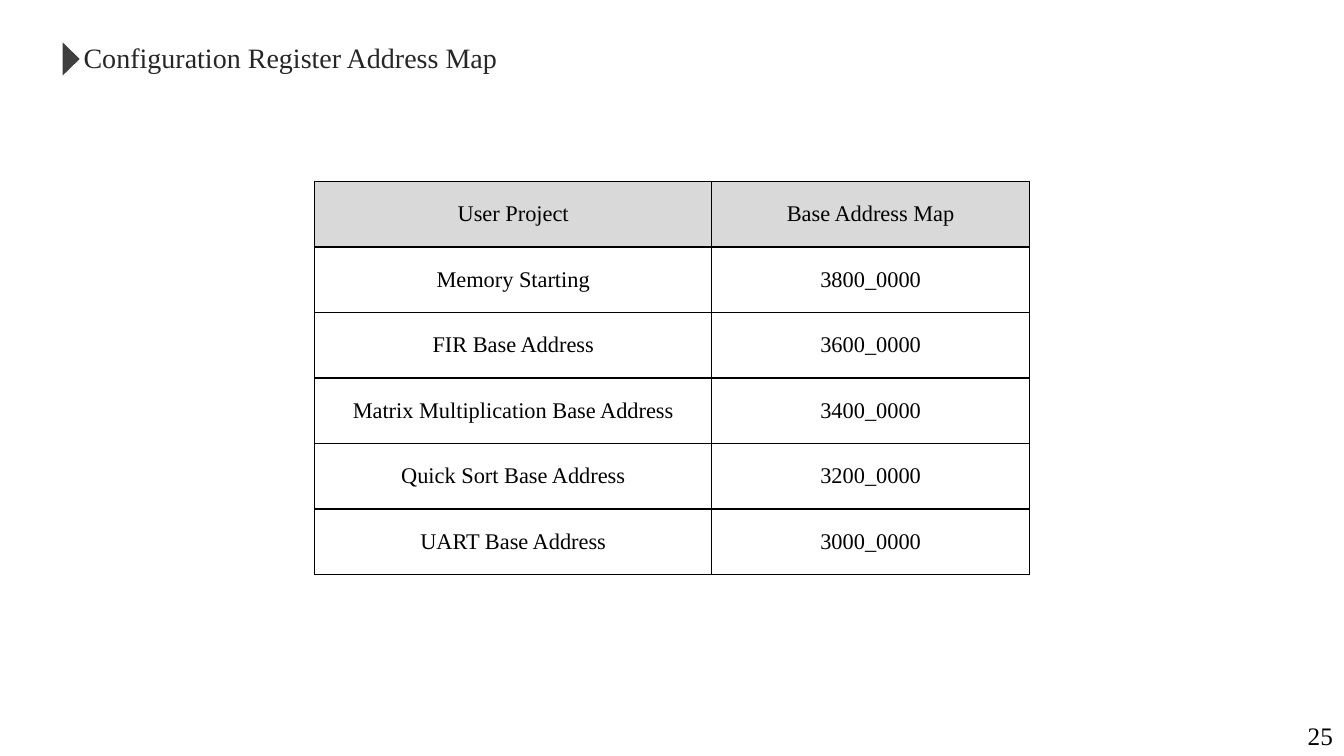
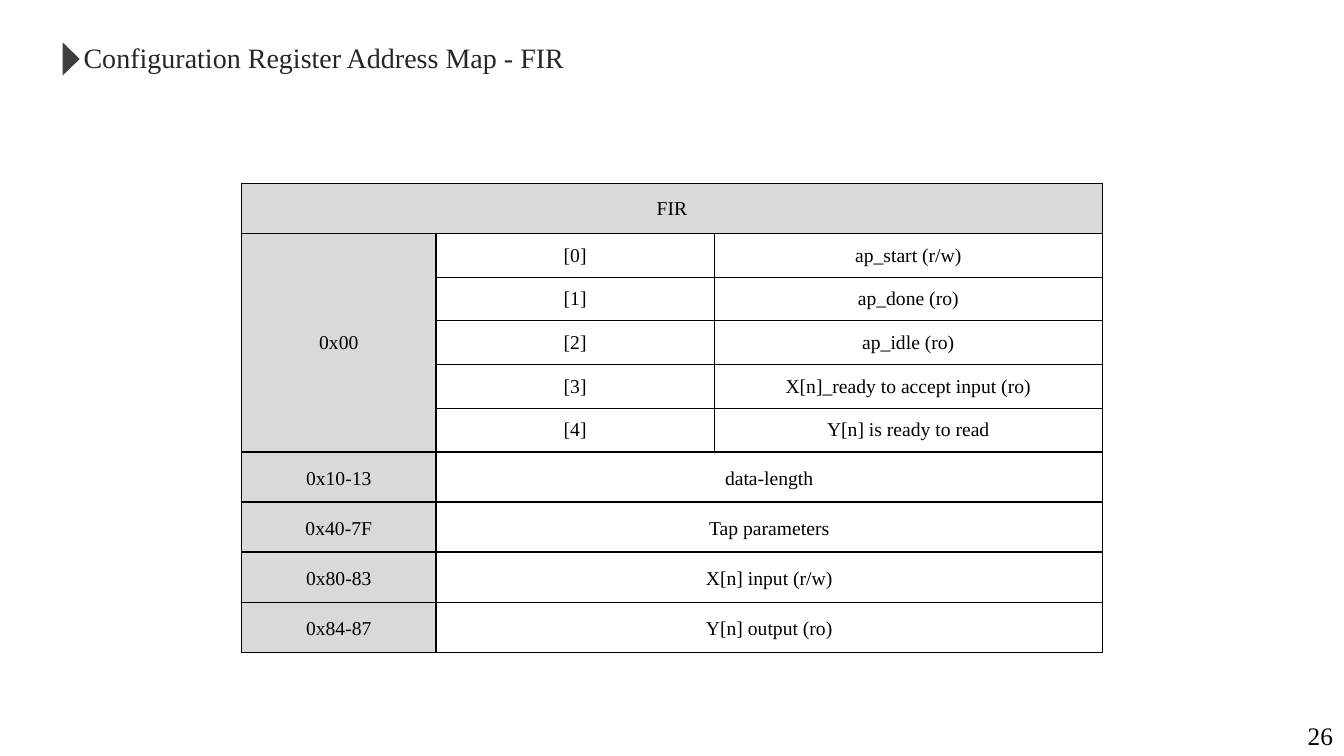
from lxml.etree import SubElement
from pptx import Presentation
from pptx.dml.color import RGBColor
from pptx.enum.shapes import MSO_SHAPE
from pptx.enum.text import MSO_ANCHOR, PP_ALIGN
from pptx.oxml.ns import qn
from pptx.util import Inches, Pt

SLIDE_WIDTH, SLIDE_HEIGHT = Inches(13.33), Inches(7.5)
FONT = "Times New Roman"
WHITE, BLACK, TITLE_INK, MARKER, SHADE = "FFFFFF", "000000", "262626", "3F3F3F", "D9D9D9"

ADDRESS_ROWS = [
    ("User Project", "Base Address Map"),
    ("Memory Starting", "3800_0000"),
    ("FIR Base Address", "3600_0000"),
    ("Matrix Multiplication Base Address", "3400_0000"),
    ("Quick Sort Base Address", "3200_0000"),
    ("UART Base Address", "3000_0000"),
]
FIR_ROWS = [
    ("FIR", "", ""),
    ("0x00", "[0]", "ap_start (r/w)"),
    ("", "[1]", "ap_done (ro)"),
    ("", "[2]", "ap_idle (ro)"),
    ("", "[3]", "X[n]_ready to accept input (ro)"),
    ("", "[4]", "Y[n] is ready to read"),
    ("0x10-13", "data-length", ""),
    ("0x40-7F", "Tap parameters", ""),
    ("0x80-83", "X[n] input (r/w)", ""),
    ("0x84-87", "Y[n] output (ro)", ""),
]
FIR_MERGES = [((0, 0), (0, 2)), ((1, 0), (5, 0))]
FIR_MERGES += [((row, 1), (row, 2)) for row in range(6, 10)]


def across(percent):
    """Return a percentage of the slide width."""
    return round(SLIDE_WIDTH * percent / 100)


def down(percent):
    """Return a percentage of the slide height."""
    return round(SLIDE_HEIGHT * percent / 100)


def paint(fill, color):
    """Apply a solid colour given as a hex string."""
    fill.solid()
    fill.fore_color.rgb = RGBColor.from_string(color)


def write(frame, text, size=16, color=BLACK, align=PP_ALIGN.CENTER, leading=None):
    """Write one formatted paragraph into a text frame."""
    frame.word_wrap = True
    paragraph = frame.paragraphs[0]
    paragraph.alignment = align
    if leading:
        paragraph.line_spacing = Pt(leading)
    run = paragraph.add_run()
    run.text = text
    run.font.name = FONT
    run.font.size = Pt(size)
    run.font.color.rgb = RGBColor.from_string(color)


def add_title(slide, title):
    """Add the slide title behind its pointer."""
    box = slide.shapes.add_textbox(across(5.48), down(4.67), across(42), down(5.87))
    write(box.text_frame, title, size=20, color=TITLE_INK, align=PP_ALIGN.LEFT)
    pointer = slide.shapes.add_shape(
        MSO_SHAPE.ISOSCELES_TRIANGLE, across(4.05), down(6.67), across(2.48), down(2.27))
    pointer.rotation = 90
    pointer.shadow.inherit = False
    paint(pointer.fill, MARKER)
    pointer.line.fill.background()


def add_page_number(slide, number):
    """Add the page number in the bottom right corner."""
    width, height = across(3.53), down(5.33)
    box = slide.shapes.add_textbox(SLIDE_WIDTH - width, SLIDE_HEIGHT - height, width, height)
    write(box.text_frame, str(number), size=18)


def add_borders(cell):
    """Draw a thin black line on every side of a cell."""
    properties = cell._tc.get_or_add_tcPr()
    for side in ("a:lnL", "a:lnR", "a:lnT", "a:lnB"):
        line = SubElement(properties, qn(side), w=str(Pt(1)))
        ink = SubElement(line, qn("a:solidFill"))
        SubElement(ink, qn("a:srgbClr"), val=BLACK)


def format_cell(cell, shaded):
    """Set the borders, fill, margins and anchor of a cell."""
    add_borders(cell)
    if shaded:
        paint(cell.fill, SHADE)
    else:
        cell.fill.background()
    cell.margin_left = cell.margin_right = Inches(0.07)
    cell.margin_top = cell.margin_bottom = 0
    cell.vertical_anchor = MSO_ANCHOR.MIDDLE


def add_register_table(slide, rows, top, widths, heights, size=16,
                       merges=(), label_column=False, spaced_from=None):
    """Add a horizontally centred table with a shaded header."""
    width, height = across(sum(widths)), down(sum(heights))
    table = slide.shapes.add_table(
        len(rows), len(widths), (SLIDE_WIDTH - width) // 2, down(top), width, height).table
    table.first_row = table.horz_banding = False
    for column, share in zip(table.columns, widths):
        column.width = across(share)
    for row, share in zip(table.rows, heights):
        row.height = down(share)
    for r, texts in enumerate(rows):
        leading = 18 if spaced_from is not None and r >= spaced_from else None
        for c, text in enumerate(texts):
            cell = table.cell(r, c)
            format_cell(cell, shaded=r == 0 or (label_column and c == 0))
            if text:
                write(cell.text_frame, text, size=size, leading=leading)
    for first, last in merges:
        table.cell(*first).merge(table.cell(*last))


def add_page(deck, title, number):
    """Add a white slide with a title and a page number."""
    slide = deck.slides.add_slide(deck.slide_layouts[6])
    paint(slide.background.fill, WHITE)
    add_title(slide, title)
    add_page_number(slide, number)
    return slide


def main():
    """Build both register map slides."""
    deck = Presentation()
    deck.slide_width, deck.slide_height = SLIDE_WIDTH, SLIDE_HEIGHT

    overview = add_page(deck, "Configuration Register Address Map", 25)
    add_register_table(overview, ADDRESS_ROWS, top=24, widths=[29.56, 23.63],
                       heights=[8.67] * len(ADDRESS_ROWS))

    fir = add_page(deck, "Configuration Register Address Map - FIR", 26)
    add_register_table(fir, FIR_ROWS, top=24.27, widths=[14.48, 20.7, 28.88],
                       heights=[6.62] + [5.78] * 5 + [6.62] * 4, size=14,
                       merges=FIR_MERGES, label_column=True, spaced_from=6)

    deck.save("out.pptx")


if __name__ == "__main__":
    main()
